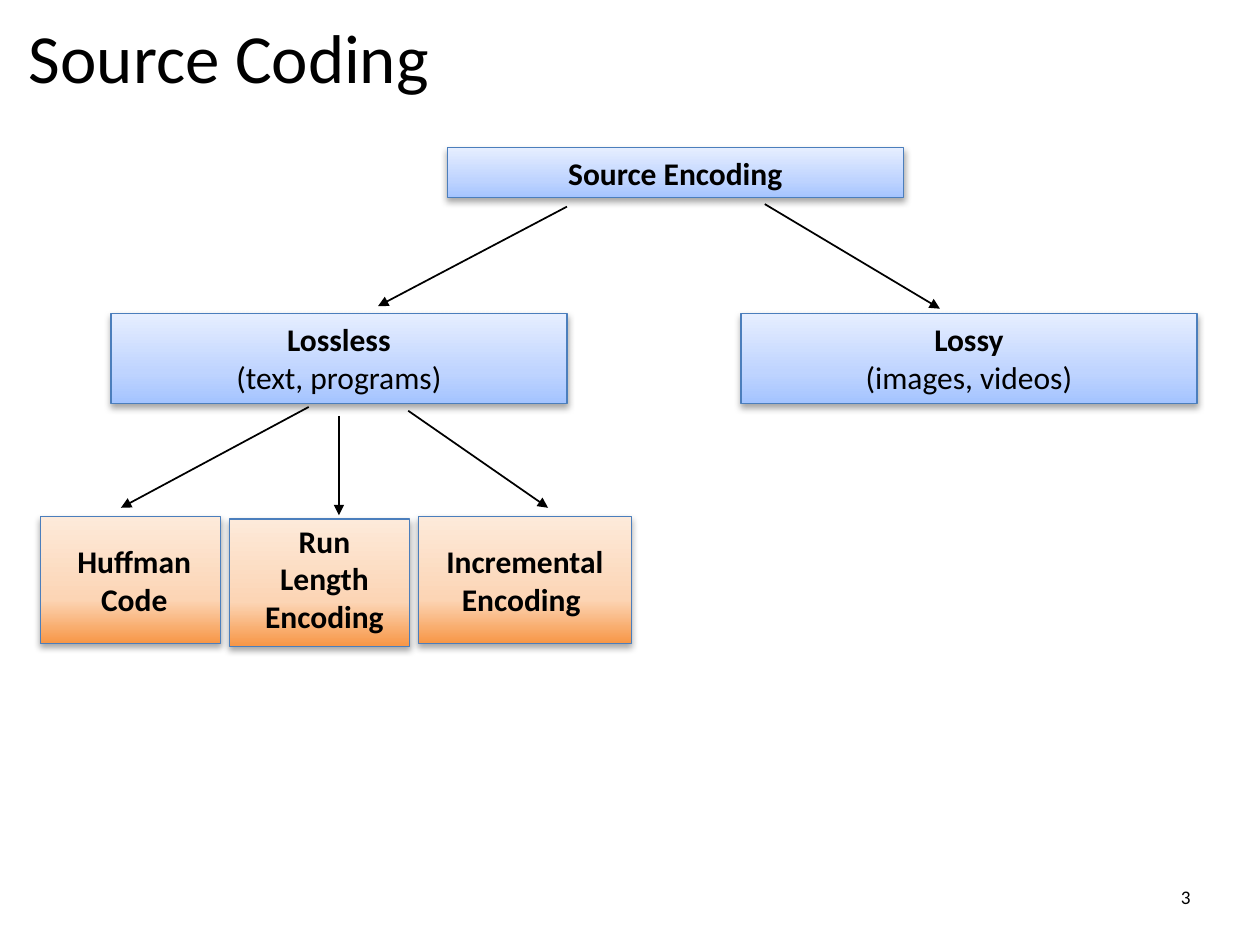
from pptx import Presentation
from pptx.dml.color import RGBColor
from pptx.enum.shapes import MSO_CONNECTOR, MSO_SHAPE
from pptx.enum.text import MSO_ANCHOR, PP_ALIGN
from pptx.oxml import parse_xml
from pptx.oxml.ns import nsdecls, qn
from pptx.util import Inches, Pt

COLORS = {"text": "000000", "border": "4B7EBC", "shadow": "000000"}
GRADIENTS = {  # from the bottom edge upwards
    "blue": ((0, "A4C4FF"), (35, "BFD4FF"), (100, "E6EEFF")),
    "orange": ((0, "F79646"), (35, "FCD5B5"), (100, "FDEADA")),
}


def rgb(name):
    """Return the named colour."""
    return RGBColor.from_string(COLORS[name])


class Diagram:
    """Holds the style and the current slide."""

    font = "Calibri"
    label_size = 18

    def __init__(self, prs):
        """Start a title-only slide."""
        self.s = prs.slides.add_slide(prs.slide_layouts[5])

    def set_text(self, tf, lines, size, align, bold=0):
        """Fill a text frame; the first `bold` lines are bold."""
        tf.word_wrap = True
        for i, line in enumerate(lines):
            p = tf.paragraphs[0] if i == 0 else tf.add_paragraph()
            p.text = line
            p.alignment = align
            p.font.name = self.font
            p.font.size = Pt(size)
            p.font.bold = i < bold
            p.font.color.rgb = rgb("text")

    def title(self, text, x, y, w, h):
        """Place and format the title."""
        sp = self.s.shapes.title
        sp.left, sp.top, sp.width, sp.height = map(Inches, (x, y, w, h))
        tf = sp.text_frame
        tf.margin_left = tf.margin_right = Inches(0.07)
        tf.margin_top = tf.margin_bottom = Inches(0.07)
        tf.vertical_anchor = MSO_ANCHOR.MIDDLE
        self.set_text(tf, [text], 39.4, PP_ALIGN.LEFT)

    def box(self, x, y, w, h, gradient, lines=()):
        """Draw a shaded box with a bold first line."""
        sp = self.s.shapes.add_shape(MSO_SHAPE.RECTANGLE, *map(Inches, (x, y, w, h)))
        sp.line.color.rgb = rgb("border")
        sp.line.width = Pt(0.75)
        sp.fill.gradient()
        sp.fill.gradient_angle = 90
        stops = sp._element.spPr.find(".//" + qn("a:gsLst"))
        for stop in list(stops):
            stops.remove(stop)
        for pos, color in GRADIENTS[gradient]:
            stops.append(parse_xml(
                f'<a:gs {nsdecls("a")} pos="{pos * 1000}"><a:srgbClr val="{color}"/></a:gs>'))
        sp.shadow.inherit = False
        sp._element.spPr.find(qn("a:effectLst")).append(parse_xml(
            f'<a:outerShdw {nsdecls("a")} blurRad="{Pt(4)}" dist="{Pt(2)}" dir="5400000" '
            f'rotWithShape="0"><a:srgbClr val="{COLORS["shadow"]}">'
            '<a:alpha val="35000"/></a:srgbClr></a:outerShdw>'))
        if lines:
            sp.text_frame.vertical_anchor = MSO_ANCHOR.TOP
            self.set_text(sp.text_frame, lines, self.label_size, PP_ALIGN.CENTER, bold=1)

    def label(self, text, x, y, w, h):
        """Add a centred bold label."""
        tf = self.s.shapes.add_textbox(*map(Inches, (x, y, w, h))).text_frame
        self.set_text(tf, [text], self.label_size, PP_ALIGN.CENTER, bold=1)

    def number(self, text, x, y, w, h):
        """Add the slide number."""
        tf = self.s.shapes.add_textbox(*map(Inches, (x, y, w, h))).text_frame
        tf.margin_left = tf.margin_right = Inches(0.05)
        self.set_text(tf, [text], 11, PP_ALIGN.RIGHT)

    def arrow(self, x1, y1, x2, y2):
        """Draw a thin line with an arrowhead at its end."""
        c = self.s.shapes.add_connector(MSO_CONNECTOR.STRAIGHT, *map(Inches, (x1, y1, x2, y2)))
        c.line.color.rgb = rgb("text")
        c.line.width = Pt(1)
        spPr = c._element.spPr
        spPr.find(qn("a:ln")).append(parse_xml(f'<a:tailEnd {nsdecls("a")} type="triangle"/>'))
        spPr.append(parse_xml(f'<a:effectLst {nsdecls("a")}/>'))


prs = Presentation()
prs.slide_width, prs.slide_height = Inches(10), Inches(7.5)
d = Diagram(prs)
d.title("Source Coding", 0.16, 0.04, 9, 0.8)
d.number("3", 9.28, 6.98, 0.22, 0.33)

BRANCH_W = 3.62
for x, y, h, lines in (
    (3.55, 1.17, 0.4, ["Source Encoding"]),
    (0.88, 2.49, 0.71, ["Lossless", "(text, programs)"]),
    (5.88, 2.49, 0.71, ["Lossy", "(images, videos)"]),
):
    d.box(x, y, BRANCH_W, h, "blue", lines)

METHOD_H = 1.01
for x, y, w, text, label_at in (
    (0.32, 4.1, 1.43, "Huffman Code", (0.39, 4.25, 1.35, 0.71)),
    (1.82, 4.12, 1.43, "Run Length Encoding", (1.98, 4.09, 1.19, 1.01)),
    (3.32, 4.1, 1.69, "Incremental Encoding ", (3.32, 4.25, 1.69, 0.71)),
):
    d.box(x, y, w, METHOD_H, "orange")
    d.label(text, *label_at)

for ends in (
    (4.5, 1.64, 3, 2.43),
    (6.07, 1.62, 7.46, 2.45),
    (2.45, 3.23, 0.96, 4.03),
    (2.69, 3.3, 2.69, 4.09),
    (3.24, 3.26, 4.35, 4.03),
):
    d.arrow(*ends)

prs.save("out.pptx")
